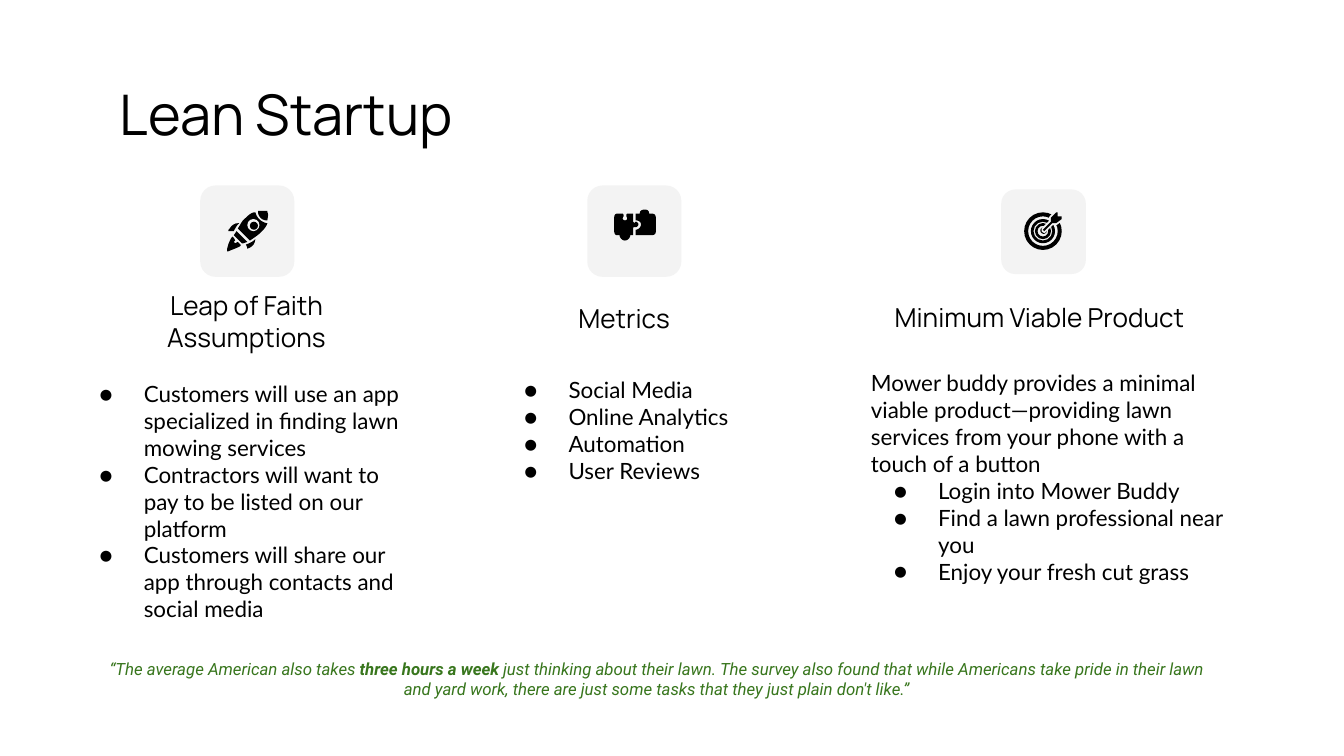
from lxml import etree
from pptx import Presentation
from pptx.dml.color import RGBColor
from pptx.enum.shapes import MSO_SHAPE
from pptx.enum.text import MSO_ANCHOR, MSO_AUTO_SIZE, PP_ALIGN
from pptx.oxml.ns import qn
from pptx.util import Inches, Pt

COLORS = {"ink": "000000", "tile": "F3F3F3", "quote": "38761D"}

ROCKET = [
    "M27 34 L25 37 C25 37 26 38 26 38 L31 43 L32 43 L35 42",
    "M48 19 C46 19 45 19 43 19 L43 20 C43 23 46 26 49 26 L50 26 C50 24 51 22 50 20 L50 19",
    "M41 20 C38 20 36 22 34 24 C31 26 30 29 28 32 L37 41 C40 39 43 37 45 35 "
    "C47 33 49 31 50 28 L49 28 C45 27 42 24 41 20",
    "M41 40 C39 42 37 43 34 44 L35 46 L35 47 C36 47 41 45 41 40",
    "M29 28 C23 28 22 33 21 33 L21 34 L25 34 C26 32 27 30 29 28",
    "M24 38 C22 40 20 46 20 48 L20 49 L21 49 C23 48 29 46 30 45 L30 44 L28 42 "
    "L26 43 L25 42 L26 41 L25 39",
]
PUZZLE = [
    "M22 21 C21 21 20 22 20 24 L20 34 C20 36 21 37 22 37 L24 37 C24 39 26 41 28 41 "
    "C30 41 32 39 32 37 L34 37 L34 32 C34 31 35 31 35 31 L36 31 C37 31 38 30 38 29 "
    "C38 28 37 27 36 27 L35 28 C35 28 34 27 34 27 L34 21 L30 21 C29 21 29 22 29 23 "
    "C30 24 30 26 28 26 C26 26 26 24 27 23 C27 22 27 21 26 21",
    "M43 18 C40 18 39 19 39 21 L36 21 L36 26 C38 26 40 27 40 29 C40 31 38 33 36 33 "
    "L36 37 L48 37 C50 37 51 36 51 34 L51 24 C51 22 50 21 48 21 L46 21 C46 19 45 18 43 18",
]
ARROW = ("M41 17 L38 20 L37 21 L37 24 L31 30 L32 31 L38 25 L41 25 L45 22 L45 20 "
         "L42 20 L42 17")


def rgb(name):
    return RGBColor.from_string(COLORS[name])


def paint(shape, color, outline=0):
    shape.shadow.inherit = False
    shape.fill.solid()
    shape.fill.fore_color.rgb = rgb(color)
    if outline:
        shape.line.color.rgb = rgb(color)
        shape.line.width = Pt(outline)
    else:
        shape.line.fill.background()


def add_preset(slide, kind, box, color, adjust=None):
    shape = slide.shapes.add_shape(kind, *map(Inches, box))
    if adjust is not None:
        shape.adjustments[0] = adjust
    paint(shape, color)


def outline_points(path, steps=6):
    points = []
    tokens = path.replace("M", "M ").replace("L", "L ").replace("C", "C ").split()
    while tokens:
        count = 6 if tokens.pop(0) == "C" else 2
        values = [float(tokens.pop(0)) for _ in range(count)]
        pairs = list(zip(values[::2], values[1::2]))
        if count == 2:
            points += pairs
            continue
        curve = [points[-1]] + pairs
        for step in range(1, steps + 1):
            t = step / steps
            weights = ((1 - t) ** 3, 3 * t * (1 - t) ** 2, 3 * t * t * (1 - t), t ** 3)
            points.append(tuple(sum(w * p[axis] for w, p in zip(weights, curve))
                                for axis in (0, 1)))
    return points


def add_outline(slide, left, top, path, color="ink", outline=0):
    points = [(Inches(left + x / 100), Inches(top + y / 100))
              for x, y in outline_points(path)]
    builder = slide.shapes.build_freeform(*points[0])
    builder.add_line_segments(points[1:], close=True)
    paint(builder.convert_to_shape(), color, outline)


def draw_rocket(slide, left, top):
    for path in ROCKET:
        add_outline(slide, left, top, path)
    add_preset(slide, MSO_SHAPE.OVAL, (left + 0.35, top + 0.25, 0.09, 0.09), "tile")
    add_preset(slide, MSO_SHAPE.OVAL, (left + 0.37, top + 0.27, 0.06, 0.06), "ink")


def draw_puzzle(slide, left, top):
    for path in PUZZLE:
        add_outline(slide, left, top, path)


def draw_target(slide, left, top):
    center = 0.31
    for size, band in ((0.28, 0.03), (0.18, 0.02), (0.12, 0.02)):
        offset = center - size / 2
        add_preset(slide, MSO_SHAPE.DONUT, (left + offset, top + offset, size, size),
                   "ink", band / size)
    add_preset(slide, MSO_SHAPE.OVAL, (left + 0.29, top + 0.28, 0.05, 0.05), "ink")
    add_outline(slide, left, top, ARROW, "tile", 2)
    add_outline(slide, left, top, ARROW)


def place_text(shape, box, anchor=MSO_ANCHOR.TOP):
    shape.left, shape.top, shape.width, shape.height = map(Inches, box)
    frame = shape.text_frame
    frame.word_wrap = True
    frame.auto_size = MSO_AUTO_SIZE.NONE
    frame.vertical_anchor = anchor
    frame.margin_left = frame.margin_right = Inches(0.1)
    frame.margin_top = frame.margin_bottom = Inches(0.1)
    return frame


def write(paragraph, text, font, size, color="ink", bold=False, italic=False):
    run = paragraph.add_run()
    run.text = text
    run.font.name, run.font.size = font, Pt(size)
    run.font.bold, run.font.italic = bold, italic
    run.font.color.rgb = rgb(color)


def set_bullet(paragraph, bulleted):
    props = paragraph._p.get_or_add_pPr()
    props.set("marL", str(Inches(0.5 if bulleted else 0)))
    props.set("indent", str(Inches(-0.33 if bulleted else 0)))
    if bulleted:
        etree.SubElement(props, qn("a:buFont"), typeface="Lato")
        etree.SubElement(props, qn("a:buChar"), char="●")
    else:
        etree.SubElement(props, qn("a:buNone"))


def add_title(slide, box, text):
    paragraph = place_text(slide.shapes.title, box).paragraphs[0]
    paragraph.alignment = PP_ALIGN.LEFT
    write(paragraph, text, "Manrope", 30)


def add_heading(slide, box, text):
    frame = place_text(slide.shapes.add_textbox(0, 0, 0, 0), box, MSO_ANCHOR.MIDDLE)
    frame.paragraphs[0].alignment = PP_ALIGN.CENTER
    write(frame.paragraphs[0], text, "Manrope", 14)


def fill_list(placeholder, box, intro, items):
    frame = place_text(placeholder, box)
    lines = [(intro, False)] if intro else []
    lines += [(item, True) for item in items]
    for index, (text, bulleted) in enumerate(lines):
        paragraph = frame.paragraphs[0] if index == 0 else frame.add_paragraph()
        paragraph.alignment = PP_ALIGN.LEFT
        paragraph.space_before = paragraph.space_after = Pt(0)
        set_bullet(paragraph, bulleted)
        write(paragraph, text, "Lato", 12)


def add_column(slide, placeholder, tile, draw_icon, heading_box, heading, list_box, intro, items):
    add_preset(slide, MSO_SHAPE.ROUNDED_RECTANGLE, tile, "tile", 0.167)
    draw_icon(slide, tile[0], tile[1])
    add_heading(slide, heading_box, heading)
    fill_list(placeholder, list_box, intro, items)


def add_quote(slide, box, parts):
    paragraph = place_text(slide.shapes.add_textbox(0, 0, 0, 0), box).paragraphs[0]
    paragraph.alignment = PP_ALIGN.CENTER
    for text, bold in parts:
        write(paragraph, text, "Roboto", 9, "quote", bold, True)


COLUMNS = [
    ((1.49, 1.38, 0.7, 0.68), draw_rocket, (0.66, 2.1, 2.35, 0.58),
     "Leap of Faith Assumptions", (0.47, 2.73, 2.74, 1.57), None,
     ["Customers will use an app specialized in finding lawn mowing services",
      "Contractors will want to pay to be listed on our platform",
      "Customers will share our app through contacts and social media"]),
    ((4.37, 1.38, 0.7, 0.68), draw_puzzle, (3.19, 2.08, 2.91, 0.58),
     "Metrics", (3.63, 2.7, 2.91, 0.73), None,
     ["Social Media", "Online Analytics", "Automation", "User Reviews"]),
    ((7.45, 1.41, 0.63, 0.63), draw_target, (6.28, 2.07, 2.91, 0.58),
     "Minimum Viable Product", (6.38, 2.65, 2.91, 2.29),
     "Mower buddy provides a minimal viable product—providing lawn services from your "
     "phone with a touch of a button",
     ["Login into Mower Buddy", "Find a lawn professional near you",
      "Enjoy your fresh cut grass"]),
]

deck = Presentation()
deck.slide_width, deck.slide_height = Inches(10), Pt(405)
slide = deck.slides.add_slide(deck.slide_layouts[4])
*list_holders, spare = list(slide.placeholders)[1:]
spare._element.getparent().remove(spare._element)
add_title(slide, (0.79, 0.49, 8.43, 0.63), "Lean Startup")
for holder, column in zip(list_holders, COLUMNS):
    add_column(slide, holder, *column)
add_quote(slide, (0.61, 4.8, 8.55, 0.5), [
    ("“The average American also takes ", False),
    ("three hours a week", True),
    (" just thinking about their lawn. The survey also found that while Americans take "
     "pride in their lawn and yard work, there are just some tasks that they just plain "
     "don't like.”", False)])
deck.save("out.pptx")
